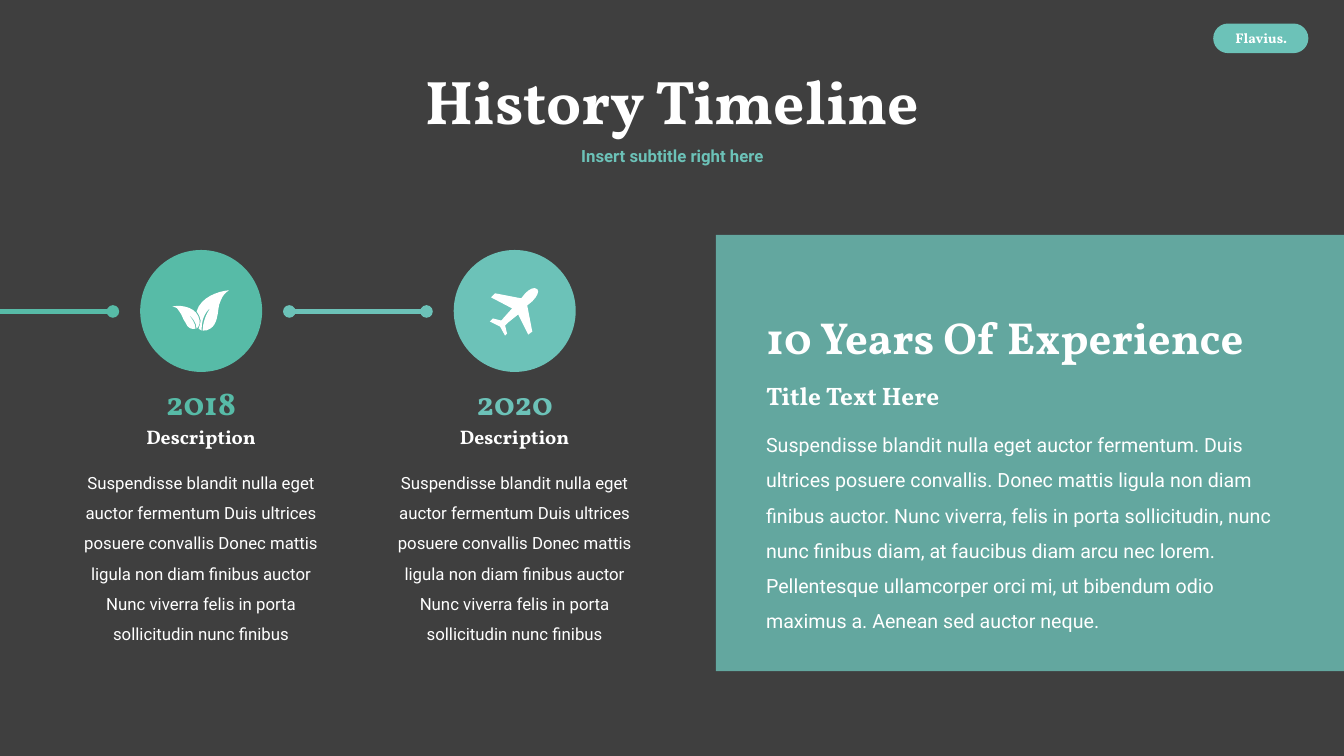
import pptx
import pptx.util
import pptx.dml.color
import pptx.enum.shapes
import pptx.enum.text
import pptx.oxml.ns
import lxml.etree

Inches = pptx.util.Inches
Shape = pptx.enum.shapes.MSO_SHAPE
Align = pptx.enum.text.PP_ALIGN
Anchor = pptx.enum.text.MSO_ANCHOR
qualified = pptx.oxml.ns.qn

COLORS = {"dark": "3F3F3F", "teal": "6CC2B8", "green": "57BBA7", "white": "FFFFFF"}
COLORS = {name: pptx.dml.color.RGBColor.from_string(value) for name, value in COLORS.items()}

deck = pptx.Presentation()
deck.slide_width, deck.slide_height = Inches(13.33), Inches(7.5)
page = deck.slides.add_slide(deck.slide_layouts[6])
page.background.fill.solid()
page.background.fill.fore_color.rgb = COLORS["dark"]


def add_text(text, place, size, color="white", font="Vollkorn", bold=True,
             align=Align.CENTER, spacing=1.0, anchor=Anchor.TOP):
    box = page.shapes.add_textbox(*map(Inches, place))
    frame = box.text_frame
    para = frame.paragraphs[0]
    span = para.add_run()
    span.text = text
    span.font.color.rgb = COLORS[color]
    formats = [
        (frame, {"word_wrap": True, "vertical_anchor": anchor}),
        (para, {"alignment": align, "line_spacing": spacing}),
        (span.font, {"name": font, "size": pptx.util.Pt(size), "bold": bold}),
    ]
    for target, values in formats:
        for name, value in values.items():
            setattr(target, name, value)


def paint(shape, color):
    shape.shadow.inherit = False
    shape.fill.solid()
    shape.fill.fore_color.rgb = COLORS[color]
    shape.line.fill.background()


badge = page.shapes.add_shape(Shape.ROUNDED_RECTANGLE, *map(Inches, (12.04, 0.24, 0.93, 0.28)))
badge.adjustments[0] = 0.5
paint(badge, "teal")
badge.line.color.rgb = COLORS["teal"]
badge.line.width = pptx.util.Pt(1)
add_text("Flavius.", (12.13, 0.24, 0.76, 0.27), 10)

panel = page.shapes.add_shape(Shape.RECTANGLE, *map(Inches, (7.1, 2.33, 6.23, 4.33)))
paint(panel, "teal")
panel_color = panel._element.spPr.find(".//" + qualified("a:srgbClr"))
lxml.etree.SubElement(panel_color, qualified("a:alpha"), val="80000")

add_text("History Timeline", (2.92, 0.52, 7.5, 1.03), 44, spacing=0.9, anchor=Anchor.MIDDLE)
add_text("Insert subtitle right here", (2.92, 1.37, 7.5, 0.38), 12, "teal", "Roboto",
         spacing=0.9, anchor=Anchor.MIDDLE)

SUMMARY = ("Suspendisse blandit nulla eget auctor fermentum Duis ultrices posuere convallis "
           "Donec mattis ligula non diam finibus auctor Nunc viverra felis in porta "
           "sollicitudin nunc finibus")
MILESTONES = [
    ("2018", "green", 0, 1.12, ["tailEnd"]),
    ("2020", "teal", 2.87, 4.23, ["headEnd", "tailEnd"]),
]
for index, (year, color, start, end, dots) in enumerate(MILESTONES):
    offset = 3.11 * index
    track = page.shapes.add_connector(pptx.enum.shapes.MSO_CONNECTOR.STRAIGHT,
                                      *map(Inches, (start, 3.09, end, 3.09)))
    track.line.color.rgb = COLORS[color]
    track.line.width = pptx.util.Pt(3)
    outline = track._element.spPr.find(qualified("a:ln"))
    for dot in dots:
        lxml.etree.SubElement(outline, qualified("a:" + dot), type="oval")
    lxml.etree.SubElement(track._element.spPr, qualified("a:effectLst"))

    circle = page.shapes.add_shape(Shape.OVAL, *map(Inches, (1.39 + offset, 2.48, 1.21, 1.21)))
    paint(circle, color)
    add_text(year, (1.25 + offset, 3.74, 1.49, 0.5), 24, color)
    add_text("Description", (1.08 + offset, 4.17, 1.83, 0.34), 14)
    add_text(SUMMARY, (0.68 + offset, 4.54, 2.63, 1.89), 12, font="Roboto", bold=False, spacing=1.5)

PLANE = [
    (5.33, 2.87), (5.3, 2.84, 5.25, 2.87, 5.21, 2.91), (5.17, 2.96), (4.91, 2.91),
    (4.87, 2.95), (5.08, 3.06), (4.99, 3.16), (4.98, 3.17, 4.98, 3.18, 4.97, 3.18),
    (4.89, 3.16), (4.86, 3.19), (4.96, 3.24), (5.01, 3.33), (5.03, 3.31), (5.01, 3.23),
    (5.02, 3.22, 5.03, 3.21, 5.04, 3.2), (5.14, 3.12), (5.24, 3.32), (5.28, 3.29),
    (5.23, 3.03), (5.28, 2.99), (5.33, 2.94, 5.35, 2.89, 5.33, 2.87),
]
SMALL_LEAF = [
    (1.71, 3.04), (1.75, 3.05, 1.77, 3.06, 1.78, 3.09), (1.81, 3.13, 1.81, 3.16, 1.84, 3.2),
    (1.86, 3.26, 1.91, 3.27, 1.94, 3.26), (1.94, 3.21, 1.9, 3.15, 1.86, 3.11),
    (1.91, 3.15, 1.95, 3.2, 1.95, 3.26), (1.95, 3.26, 1.99, 3.23, 1.98, 3.18),
    (1.96, 3.05, 1.81, 3.02, 1.71, 3.04),
]
LARGE_LEAF = [
    (1.95, 3.09), (1.97, 3.11, 1.98, 3.14, 1.99, 3.18), (1.99, 3.21, 1.98, 3.23, 1.97, 3.26),
    (1.98, 3.27, 2, 3.28, 2, 3.28), (2, 3.18, 2.02, 3.11, 2.1, 3.04),
    (2.04, 3.11, 2.01, 3.21, 2.01, 3.28), (2.06, 3.29, 2.13, 3.25, 2.15, 3.16),
    (2.17, 3.09, 2.16, 3.04, 2.19, 2.98), (2.21, 2.93, 2.23, 2.91, 2.27, 2.88),
    (2.16, 2.89, 1.99, 2.95, 1.95, 3.09),
]
for segments in (PLANE, SMALL_LEAF, LARGE_LEAF):
    corners = [tuple(map(Inches, segment[-2:])) for segment in segments]
    builder = page.shapes.build_freeform(*corners[0])
    builder.add_line_segments(corners[1:], close=True)
    icon = builder.convert_to_shape()
    paint(icon, "white")
    edges = list(icon._element.iter(qualified("a:lnTo")))
    for edge, segment in zip(edges, segments[1:]):
        if len(segment) == 2:
            continue
        curve = lxml.etree.Element(qualified("a:cubicBezTo"))
        for x, y in zip(segment[::2], segment[1::2]):
            lxml.etree.SubElement(curve, qualified("a:pt"),
                                  x=str(Inches(x) - icon.left), y=str(Inches(y) - icon.top))
        edge.getparent().replace(edge, curve)

add_text("10 Years Of Experience", (7.5, 3.02, 5.44, 0.64), 32, align=Align.LEFT)
add_text("Title Text Here", (7.5, 3.72, 2.43, 0.4), 18, align=Align.LEFT)
add_text("Suspendisse blandit nulla eget auctor fermentum. Duis ultrices posuere convallis. "
         "Donec mattis ligula non diam finibus auctor. Nunc viverra, felis in porta sollicitudin, "
         "nunc nunc finibus diam, at faucibus diam arcu nec lorem. Pellentesque ullamcorper orci "
         "mi, ut bibendum odio maximus a. Aenean sed auctor neque.",
         (7.5, 4.13, 5.44, 1.83), 14, font="Roboto", bold=False, align=Align.LEFT, spacing=1.5)

deck.save("out.pptx")
